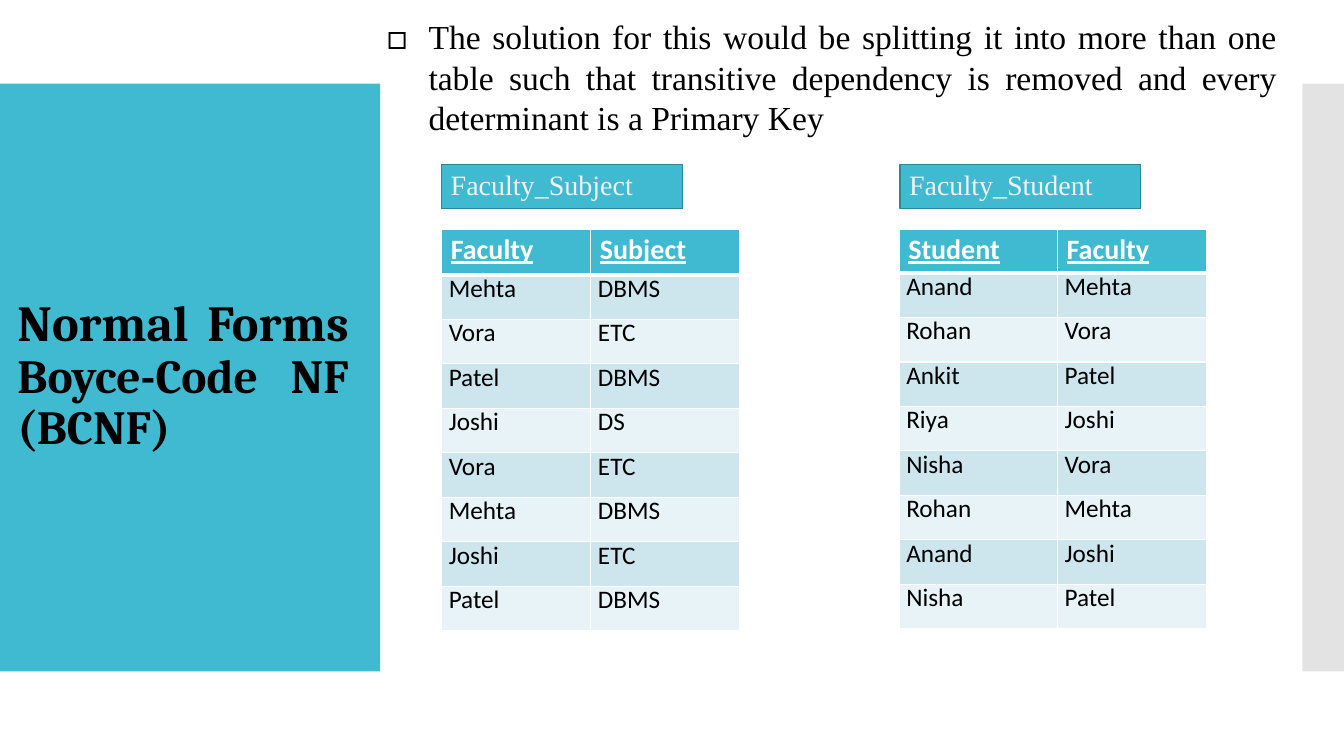
from dataclasses import dataclass

from lxml import etree
from pptx import Presentation
from pptx.dml.color import RGBColor
from pptx.enum.shapes import MSO_SHAPE
from pptx.enum.text import MSO_ANCHOR, MSO_AUTO_SIZE, PP_ALIGN
from pptx.oxml.ns import qn
from pptx.util import Cm, Pt

RECT = MSO_SHAPE.RECTANGLE
TOP = MSO_ANCHOR.TOP
FIXED = MSO_AUTO_SIZE.NONE
LEFT = PP_ALIGN.LEFT
JUSTIFY = PP_ALIGN.JUSTIFY


@dataclass(frozen=True)
class Theme:
    teal: str = "40BAD1"
    edge: str = "2E8799"
    gray: str = "C8C8C8"
    dark: str = "CDE6EE"
    light: str = "E7F3F6"
    white: str = "FFFFFF"
    pale: str = "F1F1F1"
    black: str = "000000"
    serif: str = "Times New Roman"
    sans: str = "Calibri"
    slab: str = "Cambria"
    mark: str = "Lato"
    title: int = 36
    sub: int = 34
    body: int = 24
    head: int = 20
    cell: int = 18


THEME = Theme()

SUBJECTS = [
    ("Faculty", "Subject"), ("Mehta", "DBMS"), ("Vora", "ETC"),
    ("Patel", "DBMS"), ("Joshi", "DS"), ("Vora", "ETC"),
    ("Mehta", "DBMS"), ("Joshi", "ETC"), ("Patel", "DBMS"),
]
STUDENTS = [
    ("Student", "Faculty"), ("Anand", "Mehta"), ("Rohan", "Vora"),
    ("Ankit", "Patel"), ("Riya", "Joshi"), ("Nisha", "Vora"),
    ("Rohan", "Mehta"), ("Anand", "Joshi"), ("Nisha", "Patel"),
]


def place(shape, left, top, width, height):
    shape.left, shape.top = Cm(left), Cm(top)
    shape.width, shape.height = Cm(width), Cm(height)


def paint(fill, color):
    fill.solid()
    fill.fore_color.rgb = RGBColor.from_string(color)


def text(frame, words, size=THEME.cell, font=THEME.sans, color=THEME.black,
         bold=False, under=False, align=LEFT, inset=0, left=0, hang=0,
         before=0, lines=None, bullet=None, tail=None):
    frame.word_wrap = True
    frame.margin_left = frame.margin_right = frame.margin_bottom = 0
    frame.margin_top = Cm(inset)
    par = frame.paragraphs[0]
    par.alignment = align
    par.space_before = Pt(before)
    if lines:
        par.line_spacing = lines
    props = par._p.get_or_add_pPr()
    props.set("marL", str(Cm(left)))
    props.set("indent", str(Cm(hang)))
    if bullet:
        etree.SubElement(props, qn("a:buFont"), typeface=THEME.mark)
        etree.SubElement(props, qn("a:buChar"), char=bullet)
    for part, points in [(words, size)] + ([tail] if tail else []):
        run = par.add_run()
        run.text = part
        run.font.size = Pt(points)
        run.font.name = font
        run.font.bold = bold
        run.font.underline = under
        run.font.color.rgb = RGBColor.from_string(color)


def block(slide, box, color, alpha=None):
    shape = slide.shapes.add_shape(RECT, 0, 0, 0, 0)
    place(shape, *box)
    shape.shadow.inherit = False
    paint(shape.fill, color)
    shape.line.fill.background()
    if alpha:
        tint = shape.fill._xPr.find(".//" + qn("a:srgbClr"))
        etree.SubElement(tint, qn("a:alpha"), val=str(alpha * 1000))
    return shape


def label(slide, left, words):
    shape = block(slide, (left, 4.14, 6.07, 1.12), THEME.teal)
    paint(shape.line.fill, THEME.edge)
    shape.line.width = Pt(0.85)
    shape.text_frame.vertical_anchor = TOP
    text(shape.text_frame, words, size=THEME.head, font=THEME.serif,
         color=THEME.pale, inset=0.08, left=0.23, before=2.2)


def border(cell, top, bottom):
    props = cell._tc.get_or_add_tcPr()
    for side, width in (("L", 1), ("R", 1), ("T", top), ("B", bottom)):
        line = etree.SubElement(props, qn("a:ln" + side), w=str(Pt(width)))
        fill = etree.SubElement(line, qn("a:solidFill"))
        etree.SubElement(fill, qn("a:srgbClr"), val=THEME.white)


def grid(slide, left, rows, widths, head):
    frame = slide.shapes.add_table(len(rows), len(widths), Cm(left), Cm(5.79),
                                   Cm(sum(widths)), Cm(head + 1.12 * 8))
    table = frame.table
    table.horz_banding = False
    for col, width in zip(table.columns, widths):
        col.width = Cm(width)
    for i, row in enumerate(rows):
        table.rows[i].height = Cm(1.12 if i else head)
        for j, words in enumerate(row):
            cell = table.cell(i, j)
            border(cell, 3 if i == 1 else 1, 1 if i else 3)
            cell.margin_left = cell.margin_right = cell.margin_bottom = 0
            cell.margin_top = Cm(0 if i else 0.08)
            if i:
                paint(cell.fill, THEME.dark if i % 2 else THEME.light)
                text(cell.text_frame, words, left=0.18, lines=Pt(20.9))
            else:
                paint(cell.fill, THEME.teal)
                text(cell.text_frame, words, size=THEME.head,
                     color=THEME.white, bold=True, under=True, left=0.23,
                     inset=0.08, before=2.2)


def heading(slide):
    title = slide.shapes.title
    place(title, 0.41, 7.32, 8.38, 4.19)
    title.element.getparent().append(title.element)
    frame = title.text_frame
    frame.auto_size = FIXED
    frame.vertical_anchor = TOP
    text(frame, "Normal Forms ", size=THEME.title, font=THEME.slab, bold=True,
         align=JUSTIFY, inset=0.18, left=0.03, before=5.2, lines=0.9,
         tail=("Boyce-Code NF (BCNF)", THEME.sub))


def point(slide):
    box = slide.shapes.add_textbox(Cm(9.73), Cm(0.38), Cm(22.45), Cm(3.12))
    text(box.text_frame,
         "The solution for this would be splitting it into more than one "
         "table such that transitive dependency is removed and every "
         "determinant is a Primary Key",
         size=THEME.body, font=THEME.serif, align=JUSTIFY, inset=0.03,
         left=1.07, hang=-1.04, before=1, bullet="□")


def main():
    deck = Presentation()
    deck.slide_width, deck.slide_height = Cm(33.87), Cm(19.05)
    slide = deck.slides.add_slide(deck.slide_layouts[5])
    block(slide, (0, 2.11, 9.58, 14.81), THEME.teal)
    block(slide, (32.82, 2.11, 1.05, 14.81), THEME.gray, alpha=50)
    heading(slide)
    point(slide)
    grid(slide, 22.66, STUDENTS, (3.99, 3.76), 1.09)
    grid(slide, 11.13, SUBJECTS, (3.76, 3.76), 1.14)
    label(slide, 11.13, "Faculty_Subject")
    label(slide, 22.68, "Faculty_Student")
    deck.save("out.pptx")


if __name__ == "__main__":
    main()
